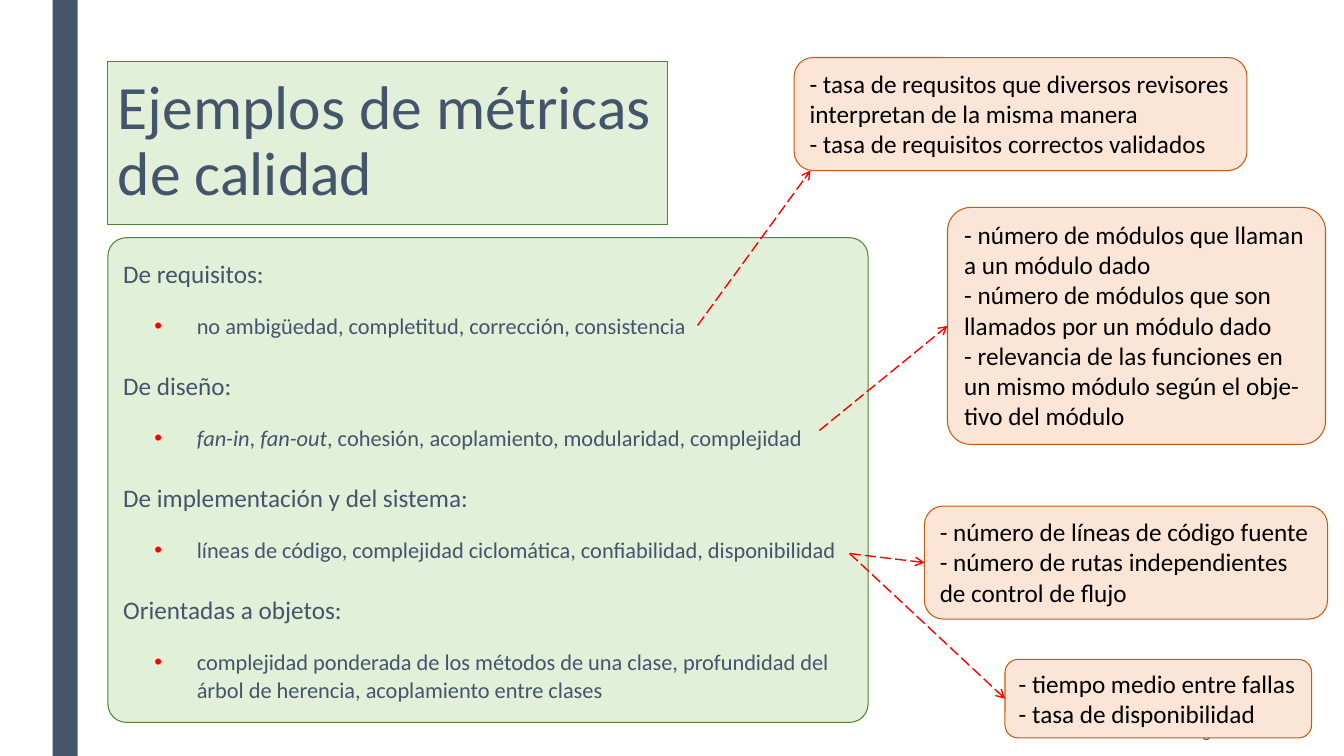
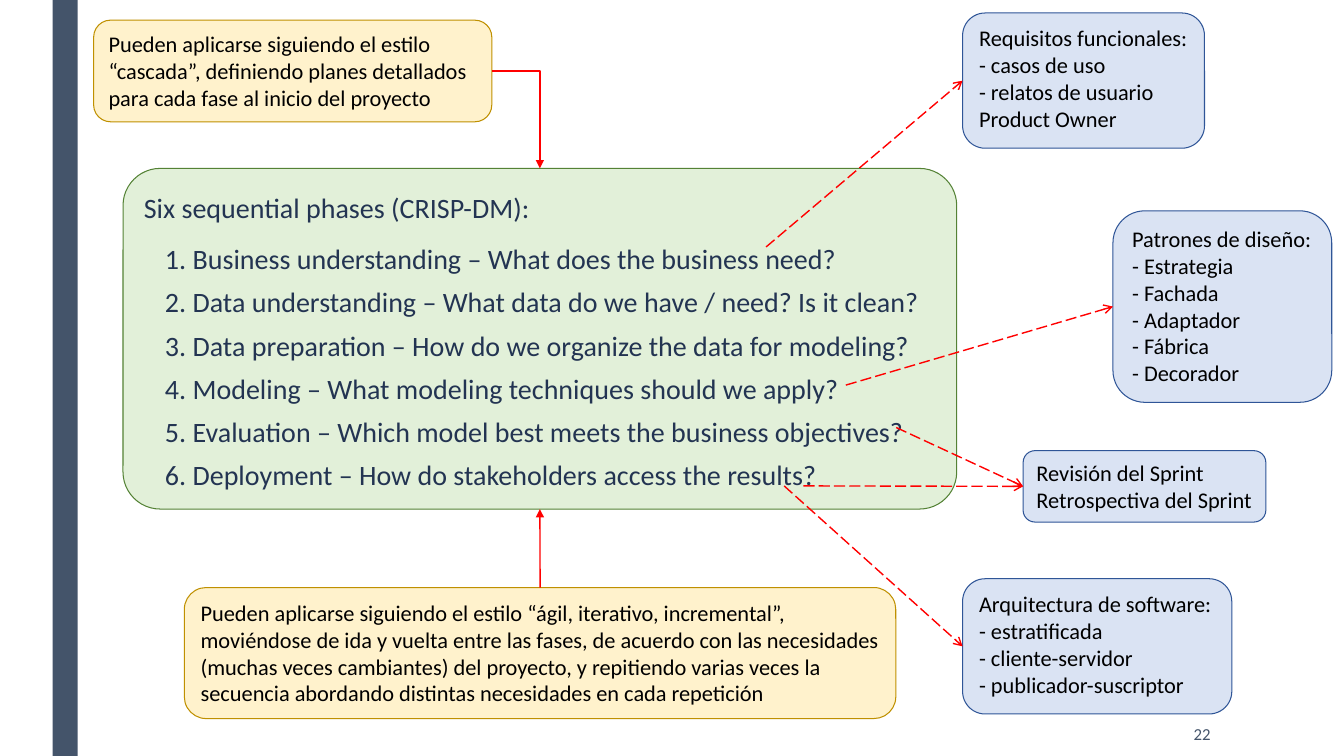
from lxml import etree
from pptx import Presentation
from pptx.dml.color import RGBColor
from pptx.enum.dml import MSO_LINE
from pptx.enum.shapes import MSO_CONNECTOR, MSO_SHAPE
from pptx.enum.text import MSO_ANCHOR, MSO_AUTO_SIZE, PP_ALIGN
from pptx.oxml.ns import qn
from pptx.util import Inches, Pt

RECT, ROUNDED = MSO_SHAPE.RECTANGLE, MSO_SHAPE.ROUNDED_RECTANGLE
STRAIGHT, ELBOW = MSO_CONNECTOR.STRAIGHT, MSO_CONNECTOR.ELBOW
LONG_DASH = MSO_LINE.LONG_DASH
TOP_ANCHOR, MIDDLE_ANCHOR = MSO_ANCHOR.TOP, MSO_ANCHOR.MIDDLE
GROW = MSO_AUTO_SIZE.SHAPE_TO_FIT_TEXT
LEFT_ALIGN, RIGHT_ALIGN = PP_ALIGN.LEFT, PP_ALIGN.RIGHT
TOP, LEFT, BOTTOM, RIGHT = range(4)  # connection sites of a box

FONT = "Calibri"
COLORS = {
    "slate": "44546A", "navy": "233452", "black": "000000", "red": "FF0000",
    "green": "E2F0D9", "green_edge": "548235",
    "orange": "FBE5D6", "orange_edge": "C55A11",
    "blue": "DAE3F3", "blue_edge": "2F5597",
    "yellow": "FFF2CC", "yellow_edge": "BF9000",
}

# The slide is a grid of 32 by 18 square cells.
CELL = 381000
COLUMNS, ROWS = 32, 18


def cells(*lengths):
    """Turn grid lengths into EMU."""
    return [round(length * CELL) for length in lengths]


def rgb(name):
    """Look up a palette colour."""
    return RGBColor.from_string(COLORS[name])


def add_box(slide, area, fill, edge=None, kind=ROUNDED, corner=None):
    """Add a filled box, outlined if an edge colour is given."""
    box = slide.shapes.add_shape(kind, *cells(*area))
    box.shadow.inherit = False
    box.fill.solid()
    box.fill.fore_color.rgb = rgb(fill)
    if edge:
        box.line.color.rgb = rgb(edge)
        box.line.width = Pt(0.75)
    else:
        box.line.fill.background()
    if corner is not None:
        box.adjustments[0] = corner
    return box


def prepare_text(shape, anchor=MIDDLE_ANCHOR, wrap=True):
    """Set anchor and wrapping, and return the text frame."""
    frame = shape.text_frame
    frame.vertical_anchor = anchor
    frame.word_wrap = wrap
    return frame


def add_paragraph(frame, runs, size, color, spacing=None, before=None,
                  align=LEFT_ALIGN):
    """Write one paragraph from (text, italic) runs or a plain string."""
    first = frame.paragraphs[0]
    paragraph = frame.add_paragraph() if first.runs else first
    paragraph.alignment = align
    if spacing:
        paragraph.line_spacing = spacing
    if before is not None:
        paragraph.space_before = Pt(before)
    for text, italic in [(runs, False)] if isinstance(runs, str) else runs:
        run = paragraph.add_run()
        run.text = text
        run.font.name = FONT
        run.font.size = Pt(size)
        run.font.italic = italic
        run.font.color.rgb = rgb(color)
    return paragraph


def indent(paragraph, margin, hanging):
    """Set a hanging indent in inches and return the properties element."""
    properties = paragraph._p.get_or_add_pPr()
    properties.set("marL", str(Inches(margin)))
    properties.set("indent", str(-Inches(hanging)))
    return properties


def add_bullet(paragraph):
    """Give a paragraph a red dot."""
    properties = indent(paragraph, 0.73, 0.42)
    color = etree.SubElement(properties, qn("a:buClr"))
    etree.SubElement(color, qn("a:srgbClr"), val=COLORS["red"])
    etree.SubElement(properties, qn("a:buFont"), typeface="Arial")
    etree.SubElement(properties, qn("a:buChar"), char="•")


def add_number(paragraph):
    """Give a paragraph an automatic number."""
    properties = indent(paragraph, 0.4, 0.19)
    etree.SubElement(properties, qn("a:buAutoNum"), type="arabicPeriod")


def add_callout(slide, area, tone, size, lines, wrap=True, corner=None):
    """Add a rounded note in one of the palette's tones."""
    note = add_box(slide, area, tone, tone + "_edge", corner=corner)
    frame = prepare_text(note, TOP_ANCHOR, wrap)
    frame.auto_size = GROW
    for line in lines:
        add_paragraph(frame, line, size, "black")
    return note


def add_arrow(slide, start, end, head="arrow", dash=LONG_DASH, kind=STRAIGHT):
    """Join two ends, each a grid point or a (box, site) pair."""
    arrow = slide.shapes.add_connector(kind, 0, 0, 0, 0)
    if isinstance(start[0], (int, float)):
        arrow.begin_x, arrow.begin_y = cells(*start)
    else:
        arrow.begin_connect(*start)
    if isinstance(end[0], (int, float)):
        arrow.end_x, arrow.end_y = cells(*end)
    else:
        arrow.end_connect(*end)
    arrow.line.color.rgb = rgb("red")
    arrow.line.width = Pt(1)
    if dash:
        arrow.line.dash_style = dash
    properties = arrow._element.spPr
    if kind == ELBOW:
        properties.find(qn("a:prstGeom")).set("prst", "bentConnector2")
    etree.SubElement(properties.find(qn("a:ln")), qn("a:tailEnd"), type=head)
    etree.SubElement(properties, qn("a:effectLst"))


def add_page(deck):
    """Add a blank slide with the side band."""
    slide = deck.slides.add_slide(deck.slide_layouts[6])
    add_box(slide, (1.25, 0, 0.6, ROWS), "slate", kind=RECT)
    return slide


def add_page_number(slide, number):
    """Write the page number at the lower right."""
    footer = slide.shapes.add_textbox(*cells(24.86, 16.94, 4.2, 1.06))
    add_paragraph(prepare_text(footer), number, 12, "slate", align=RIGHT_ALIGN)


def build_metrics(deck):
    """Build the slide on quality metrics."""
    slide = add_page(deck)
    title = add_box(slide, (2.57, 1.46, 13.32, 3.89), "green", "green_edge", RECT)
    add_paragraph(prepare_text(title), "Ejemplos de métricas de calidad",
                  44, "slate", 0.89)

    metrics = [
        ("De requisitos:", "no ambigüedad, completitud, corrección, consistencia"),
        ("De diseño:", [
            ("fan-in", True), (", ", False), ("fan-out", True),
            (", cohesión, acoplamiento, modularidad, complejidad", False)]),
        ("De implementación y del sistema:",
         "líneas de código, complejidad ciclomática, confiabilidad, disponibilidad"),
        ("Orientadas a objetos:",
         "complejidad ponderada de los métodos de una clase, profundidad del "
         "árbol de herencia, acoplamiento entre clases"),
    ]
    panel = add_box(slide, (2.57, 5.66, 18.1, 11.54), "green", "green_edge",
                    corner=0.038)
    frame = prepare_text(panel)
    for group, examples in metrics:
        add_paragraph(frame, group, 18, "slate", 1.02, 22)
        add_bullet(add_paragraph(frame, examples, 16, "slate", 1.02, 16.5))
    add_page_number(slide, "8")

    add_callout(slide, (18.91, 1.37, 10.78, 2.69), "orange", 18, [
        "- tasa de requsitos que diversos revisores interpretan de la misma manera",
        "- tasa de requisitos correctos validados"])
    design = add_callout(slide, (22.56, 4.94, 9, 5.64), "orange", 18, [
        "- número de módulos que llaman a un módulo dado",
        "- número de módulos que son llamados por un módulo dado",
        "- relevancia de las funciones en un mismo módulo según el "
        "obje-tivo del módulo"], corner=0.098)
    code = add_callout(slide, (22.01, 12.05, 9.6, 2.69), "orange", 18, [
        "- número de líneas de código fuente",
        "- número de rutas independientes de control de flujo"])
    uptime = add_callout(slide, (23.93, 15.7, 7.3, 1.87), "orange", 18, [
        "- tiempo medio entre fallas", "- tasa de disponibilidad"], wrap=False)

    add_arrow(slide, (16.61, 7.75), (19.3, 4.06))
    add_arrow(slide, (19.51, 10.25), (design, LEFT))
    for note in (code, uptime):
        add_arrow(slide, (20.23, 13.18), (note, LEFT))


def build_phases(deck):
    """Build the slide on the six CRISP-DM phases."""
    slide = add_page(deck)
    phases = [
        ("Business understanding", "What does the business need?"),
        ("Data understanding", "What data do we have / need? Is it clean?"),
        ("Data preparation", "How do we organize the data for modeling?"),
        ("Modeling", "What modeling techniques should we apply?"),
        ("Evaluation", "Which model best meets the business objectives?"),
        ("Deployment", "How do stakeholders access the results?"),
    ]
    panel = add_box(slide, (2.93, 4.01, 19.85, 8.11), "green", "green_edge",
                    corner=0.109)
    frame = prepare_text(panel)
    add_paragraph(frame, "Six sequential phases (CRISP-DM):", 20, "navy", 1.12, 4)
    for index, (phase, question) in enumerate(phases):
        add_number(add_paragraph(frame, f" {phase}\u00a0– {question}", 20, "navy",
                                 1.12, 4 if index else 10))
    add_page_number(slide, "22")

    practices = [
        ((22.92, 0.31, 5.76, 3.22), [(18.24, 5.88)],
         ["Requisitos funcionales:", "- casos de uso", "- relatos de usuario",
          "Product Owner"]),
        ((22.92, 13.78, 6.41, 3.22), [(18.67, 11.57)],
         ["Arquitectura de software:", "- estratificada", "- cliente-servidor",
          "- publicador-suscriptor"]),
        ((26.5, 5.02, 5.21, 4.56), [(20.14, 9.17)],
         ["Patrones de diseño:", "- Estrategia", "- Fachada", "- Adaptador",
          "- Fábrica", "- Decorador"]),
        ((24.36, 10.73, 5.78, 1.7), [(21.34, 10.18), (19.13, 11.57)],
         ["Revisión del Sprint", "Retrospectiva del Sprint"]),
    ]
    for area, starts, lines in practices:
        note = add_callout(slide, area, "blue", 16, lines, wrap=False)
        for start in starts:
            add_arrow(slide, start, (note, LEFT))

    waterfall = add_callout(slide, (2.23, 0.48, 9.48, 2.42), "yellow", 16, [
        "Pueden aplicarse siguiendo el estilo “cascada”, definiendo planes "
        "detallados para cada fase al inicio del proyecto"])
    agile = add_callout(slide, (4.39, 13.99, 16.94, 3.12), "yellow", 16, [
        "Pueden aplicarse siguiendo el estilo “ágil, iterativo, incremental”, "
        "moviéndose de ida y vuelta entre las fases, de acuerdo con las "
        "necesidades (muchas veces cambiantes) del proyecto, y repitiendo varias "
        "veces la secuencia abordando distintas necesidades en cada repetición"])
    add_arrow(slide, (waterfall, RIGHT), (panel, TOP), "triangle", None, ELBOW)
    add_arrow(slide, (agile, TOP), (panel, BOTTOM), "triangle", None)


def main():
    """Build and save the deck."""
    deck = Presentation()
    deck.slide_width, deck.slide_height = cells(COLUMNS, ROWS)
    build_metrics(deck)
    build_phases(deck)
    deck.save("out.pptx")


main()
